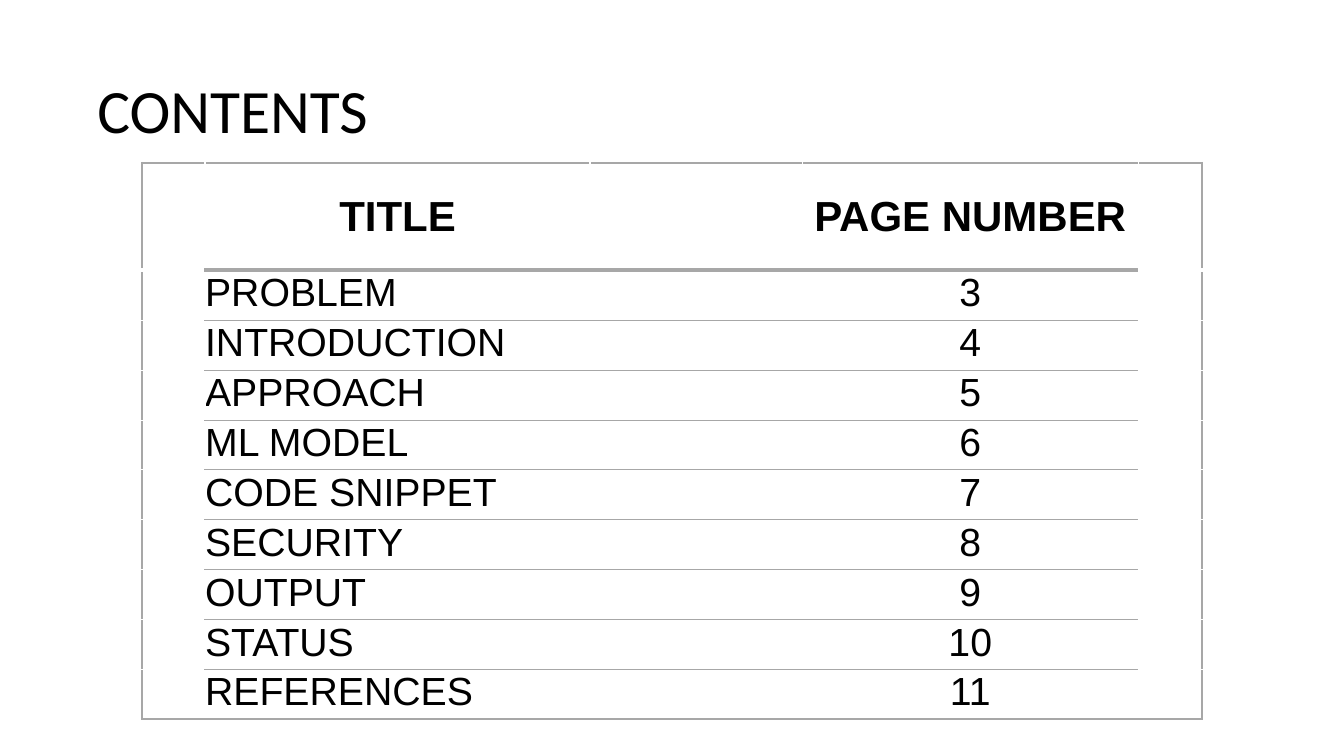
from lxml.etree import SubElement
from pptx import Presentation
from pptx.dml.color import RGBColor
from pptx.enum.text import MSO_ANCHOR as Anchor, PP_ALIGN as Align
from pptx.oxml.ns import qn
from pptx.util import Inches, Pt

BLACK = RGBColor(0x00, 0x00, 0x00)
WHITE = RGBColor(0xFF, 0xFF, 0xFF)
GRAY = RGBColor(0xA7, 0xA7, 0xA7)

HEADING = "CONTENTS"
HEADER = ("TITLE", "PAGE NUMBER")
ENTRIES = [
    ("PROBLEM", 3),
    ("INTRODUCTION", 4),
    ("APPROACH", 5),
    ("ML MODEL", 6),
    ("CODE SNIPPET", 7),
    ("SECURITY", 8),
    ("OUTPUT", 9),
    ("STATUS", 10),
    ("REFERENCES", 11),
]
COLUMN_WIDTHS = (1.25, 7.64, 4.21, 6.67, 1.26)
TITLE_COLUMN, PAGE_COLUMN = 1, 3
HEADER_HEIGHT, ENTRY_HEIGHT = 2.13, 0.99
OUTER_WIDTH, COLUMN_RULE, HEADER_RULE, ENTRY_RULE = 3, 2, 7, 0.75


def write_text(frame, text, size, font="Arial", bold=False, align=Align.LEFT,
               spacing=None, inset=0):
    frame.word_wrap = True
    frame.margin_left = frame.margin_right = Inches(inset)
    frame.margin_top = frame.margin_bottom = Inches(inset)
    frame.vertical_anchor = Anchor.MIDDLE
    paragraph = frame.paragraphs[0]
    paragraph.alignment = align
    paragraph.line_spacing = spacing
    run = paragraph.add_run()
    run.text = text
    run.font.name = font
    run.font.size = Pt(size)
    run.font.bold = bold
    run.font.color.rgb = BLACK


def add_border(cell, side, color, width):
    properties = cell._tc.get_or_add_tcPr()
    line = SubElement(properties, qn(f"a:ln{side}"), w=str(Pt(width)))
    fill = SubElement(line, qn("a:solidFill"))
    SubElement(fill, qn("a:srgbClr"), val=str(color))


def horizontal_rule(boundary, column, last_row, last_column):
    if boundary in (0, last_row + 1):
        return GRAY, OUTER_WIDTH
    color = WHITE if column in (0, last_column) else GRAY
    return color, HEADER_RULE if boundary == 1 else ENTRY_RULE


def vertical_rule(boundary, last_column):
    if boundary in (0, last_column + 1):
        return GRAY, OUTER_WIDTH
    return WHITE, COLUMN_RULE


def style_cell(cell, row, column, last_row, last_column):
    add_border(cell, "L", *vertical_rule(column, last_column))
    add_border(cell, "R", *vertical_rule(column + 1, last_column))
    add_border(cell, "T", *horizontal_rule(row, column, last_row, last_column))
    add_border(cell, "B", *horizontal_rule(row + 1, column, last_row, last_column))
    cell.fill.solid()
    cell.fill.fore_color.rgb = WHITE


def write_cell(cell, text, size, **text_format):
    write_text(cell.text_frame, text, size, **text_format)
    cell.margin_left = cell.margin_right = 0
    cell.margin_top = cell.margin_bottom = 0
    cell.vertical_anchor = Anchor.MIDDLE


def add_contents_table(slide):
    heights = [HEADER_HEIGHT] + [ENTRY_HEIGHT] * len(ENTRIES)
    table = slide.shapes.add_table(
        len(heights), len(COLUMN_WIDTHS), Inches(2.82), Inches(3.23),
        Inches(sum(COLUMN_WIDTHS)), Inches(sum(heights))).table
    table.first_row = table.horz_banding = False
    for column, width in zip(table.columns, COLUMN_WIDTHS):
        column.width = Inches(width)
    for row, height in zip(table.rows, heights):
        row.height = Inches(height)
    for row in range(len(heights)):
        for column in range(len(COLUMN_WIDTHS)):
            style_cell(table.cell(row, column), row, column,
                       len(heights) - 1, len(COLUMN_WIDTHS) - 1)
    for column, text in zip((TITLE_COLUMN, PAGE_COLUMN), HEADER):
        write_cell(table.cell(0, column), text, 60, bold=True, align=Align.CENTER)
    for row, (title, page) in enumerate(ENTRIES, start=1):
        write_cell(table.cell(row, TITLE_COLUMN), title, 56, spacing=0.9)
        write_cell(table.cell(row, PAGE_COLUMN), str(page), 56,
                   align=Align.CENTER, spacing=0.9)


def main():
    presentation = Presentation()
    presentation.slide_width, presentation.slide_height = Inches(26.67), Inches(15)
    slide = presentation.slides.add_slide(presentation.slide_layouts[5])
    title = slide.shapes.title
    title.left, title.top = Inches(1.83), Inches(0.8)
    title.width, title.height = Inches(23), Inches(2.9)
    write_text(title.text_frame, HEADING, 88, font="Calibri", spacing=0.9, inset=0.1)
    add_contents_table(slide)
    presentation.save("out.pptx")


if __name__ == "__main__":
    main()
